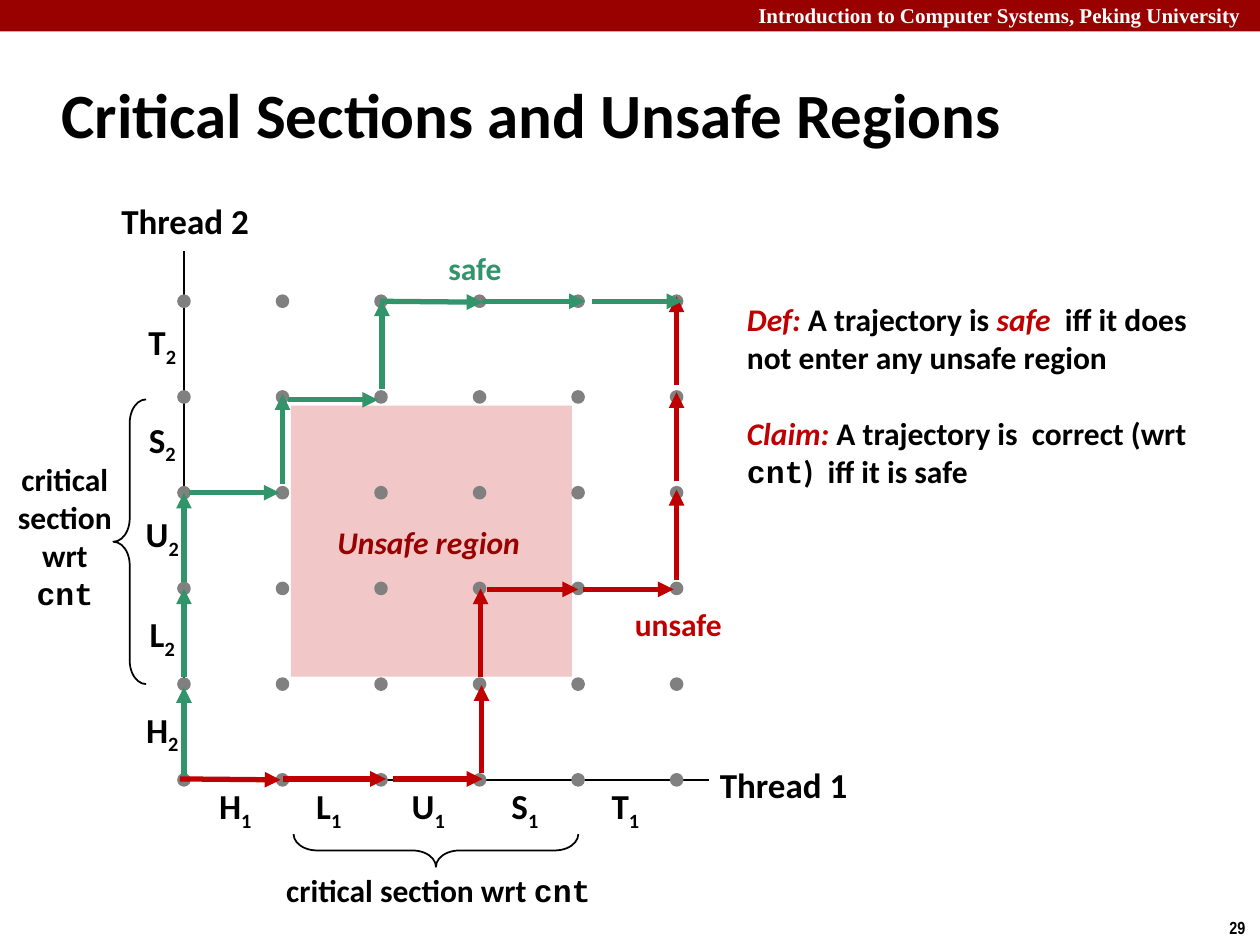
from lxml import etree
from pptx import Presentation
from pptx import util as u
from pptx.dml.color import RGBColor
from pptx.enum import shapes, text
from pptx.oxml import ns

BLACK = RGBColor(0x00, 0x00, 0x00)
WHITE = RGBColor(0xFF, 0xFF, 0xFF)
MAROON = RGBColor(0x99, 0x00, 0x00)
RED = RGBColor(0xC0, 0x00, 0x00)
GREEN = RGBColor(0x32, 0x94, 0x6A)
PINK = RGBColor(0xF1, 0xC7, 0xC7)
GREY = RGBColor(0x80, 0x80, 0x80)

deck = Presentation()
deck.slide_width, deck.slide_height = u.Inches(10), u.Inches(7.5)
page = deck.slides.add_slide(deck.slide_layouts[6])
W, H = deck.slide_width / 100, deck.slide_height / 100

# Grid of the progress graph, in percent of the slide
LEFT, BASE, COL, ROW = 14.6, 82.53, 7.82, 10.13
KIND = shapes.MSO_SHAPE
MID, TOP = text.MSO_ANCHOR.MIDDLE, text.MSO_ANCHOR.TOP
MONO = {"name": "Courier New"}
SLANT = {"italic": True}


def write(area, paras, look=None, side="LEFT", anchor=TOP, wrap=False, pad=0.05, gap=0):
    """Put paragraphs of (words, format) runs in an area given in percent."""
    x, y, w, h = area
    box = page.shapes.add_textbox(int(x * W), int(y * H), int(w * W), int(h * H))
    frame = box.text_frame
    frame.word_wrap, frame.vertical_anchor = wrap, anchor
    frame.margin_top = frame.margin_bottom = u.Inches(pad)
    for num, runs in enumerate(paras):
        para = frame.add_paragraph() if num else frame.paragraphs[0]
        para.alignment = text.PP_ALIGN[side]
        para.space_before = u.Pt(gap if num else 0)
        for words, extra in runs:
            run = para.add_run()
            run.text = words
            style = {"name": "Calibri", "size": 18, "bold": True,
                     "color": BLACK, "base": 0, **(look or {}), **extra}
            run.font.color.rgb = style.pop("color")
            style["size"] = u.Pt(style["size"])
            base = style.pop("base")
            if base:
                run.font._element.set("baseline", str(base * 1000))
            for key, value in style.items():
                setattr(run.font, key, value)


def link(start, end, color, width, arrow=True):
    """Draw a line between two (column, row) points of the grid."""
    ends = []
    for col, row in (start, end):
        ends += [int((LEFT + col * COL) * W), int((BASE - row * ROW) * H)]
    line = page.shapes.add_connector(shapes.MSO_CONNECTOR.STRAIGHT, *ends)
    line.line.color.rgb, line.line.width = color, u.Pt(width)
    if arrow:
        etree.SubElement(line.line._get_or_add_ln(), ns.qn("a:tailEnd"), type="triangle")
    etree.SubElement(line._element.spPr, ns.qn("a:effectLst"))


# Shapes: kind, area in percent, fill, line, line width, turn
DOT = (0.8, 1.07)
forms = [
    (KIND.RECTANGLE, (0, 0, 100, 3.33), MAROON, None, 0, 0),
    (KIND.RECTANGLE, (23.1, 42.93, 22.3, 28.67), PINK, None, 0, 0),
    (KIND.LEFT_BRACE, (9, 42.27, 2.6, 30.13), None, BLACK, 1, 0),
    (KIND.LEFT_BRACE, (33.3, 74.93, 2.6, 30.13), None, BLACK, 1, 270),
]
forms += [
    (KIND.OVAL, (LEFT + col * COL - DOT[0] / 2, BASE - row * ROW - DOT[1] / 2, *DOT),
     GREY, GREY, 2, 0)
    for col in range(6) for row in range(6)
]
link((0, 0), (5.33, 0), BLACK, 1, False)
link((0, 0), (0, 5.53), BLACK, 1, False)
for kind, (x, y, w, h), fill, edge, width, turn in forms:
    form = page.shapes.add_shape(kind, int(x * W), int(y * H), int(w * W), int(h * H))
    form.shadow.inherit = False
    form.rotation = turn
    if kind == KIND.LEFT_BRACE:
        form.adjustments[0] = 0.72
    for part, color in ((form.fill, fill), (form.line.fill, edge)):
        if color is None:
            part.background()
        else:
            part.solid()
            part.fore_color.rgb = color
    if edge is not None:
        form.line.width = u.Pt(width)

# Step names along both axes
cols = (0.52, 1.47, 2.48, 3.46, 4.48)
rows = (0.5, 1.5, 2.54, 3.53, 4.55)
for step, col, row in zip("HLUST", cols, rows):
    for mark, x, y in (("1", col, -0.3), ("2", -0.22, row)):
        area = (LEFT + x * COL - 2.4, BASE - y * ROW - 2.93, 4.8, 5.87)
        write(area, [[(step, {}), (mark, {"base": -25})]], {"size": 20}, "CENTER", MID)

# Trajectories as (start, end) pairs of grid points
unsafe = [
    ((-0.04, 0.01), (0.98, 0)), ((1.01, 0.01), (2.05, 0.01)),
    ((2.12, 0.01), (3.03, 0.01)), ((3.02, 0.07), (3.02, 0.99)),
    ((3.01, 1.07), (3.01, 2)), ((3.08, 1.99), (4, 1.99)),
    ((4.05, 1.99), (4.97, 1.99)), ((5, 2.09), (5, 3.03)),
    ((5, 3.12), (5, 4.05)), ((5, 4.12), (5, 5.05)),
]
safe = [
    ((0, 0.04), (0, 0.97)), ((0, 1.07), (0, 2)), ((0, 2.07), (0, 3)),
    ((0.05, 3), (0.97, 3)), ((1, 3.09), (1, 4.03)),
    ((1.06, 3.97), (1.97, 3.97)), ((2.01, 4.08), (2.01, 5.01)),
    ((1.99, 5), (3.03, 4.99)), ((3.03, 5), (4.07, 5)), ((4.14, 5), (5.06, 5)),
]
for route, color in ((unsafe, RED), (safe, GREEN)):
    for start, end in route:
        link(start, end, color, 3)

# Single-line texts: words, area, format, alignment, anchor
labels = [
    ("Introduction to Computer Systems, Peking University", (59.2, -0.4, 41.5, 4),
     {"name": "Times New Roman", "size": 12, "color": WHITE}, "LEFT", TOP),
    ("29", (96.6, 96.4, 3.4, 3.6), {"name": "Arial Narrow", "size": 10}, "LEFT", TOP),
    ("Critical Sections and Unsafe Regions", (3.9, 6.4, 83, 11.07),
     {"size": 36}, "LEFT", MID),
    ("Thread 1", (56.1, 80.13, 12.2, 5.87), {"size": 20}, "CENTER", MID),
    ("Thread 2", (8.6, 20.4, 12.2, 5.87), {"size": 20}, "CENTER", MID),
    ("Unsafe region", (25.8, 54.67, 16.7, 5.33), {"color": MAROON, **SLANT}, "LEFT", TOP),
    ("unsafe", (49.4, 63.33, 9, 5.33), {"color": RED}, "LEFT", TOP),
    ("safe", (34.6, 25.73, 6.3, 5.33), {"color": GREEN}, "LEFT", TOP),
]
for words, area, look, side, anchor in labels:
    write(area, [[(words, {})]], look, side, anchor, wrap=words.startswith("Crit"))

# Captions of both braces
for area, wrap in (((21.6, 91.47, 26.4, 5.33), False), ((0, 48, 10.3, 17.47), True)):
    write(area, [[("critical section wrt ", {}), ("cnt", MONO)]],
          side="CENTER", anchor=MID, wrap=wrap)

key = {"color": RED, **SLANT}
write((58.3, 31.73, 38.3, 24.27), [
    [("Def: ", key), ("A trajectory is ", {}), ("safe  ", key),
     ("iff it does not enter any unsafe region", {})],
    [("Claim: ", key), ("A trajectory is  correct (wrt ", {}), ("cnt", MONO),
     (")  iff it is safe", {})],
], wrap=True, pad=0, gap=22)

deck.save("out.pptx")
